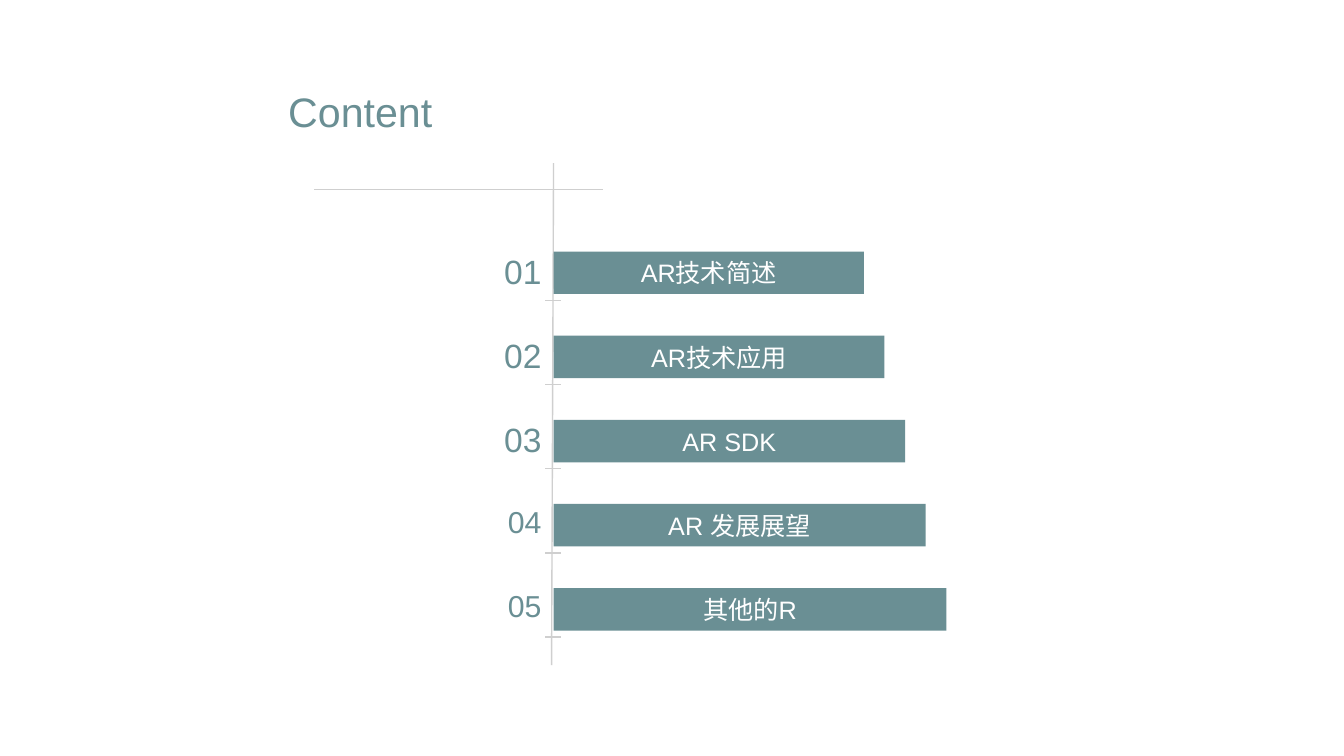
from lxml import etree
from pptx import Presentation
from pptx.dml.color import RGBColor
from pptx.enum.shapes import MSO_CONNECTOR, MSO_SHAPE
from pptx.enum.text import MSO_ANCHOR, MSO_AUTO_SIZE, PP_ALIGN
from pptx.oxml.ns import qn
from pptx.util import Cm, Pt

STRAIGHT = MSO_CONNECTOR.STRAIGHT
RECTANGLE = MSO_SHAPE.RECTANGLE
TOP, MIDDLE = MSO_ANCHOR.TOP, MSO_ANCHOR.MIDDLE
LEFT, CENTER, RIGHT = PP_ALIGN.LEFT, PP_ALIGN.CENTER, PP_ALIGN.RIGHT
NO_FIT = MSO_AUTO_SIZE.NONE
TITLE_ONLY = 5

TOPICS = [
    ("AR技术简述", 24),
    ("AR技术应用", 24),
    ("AR SDK", 24),
    ("AR 发展展望", 21.6),
    ("其他的R", 21.6),
]
ROW_PITCH = 2.12
BAR_GROWTH = 0.52


def color(value):
    return RGBColor.from_string(value)


class AgendaSlide:
    font = "Arial"
    teal = "6A8F94"
    gray = "CFCFCF"
    white = "FFFFFF"

    def __init__(self, deck):
        self.page = deck.slides.add_slide(deck.slide_layouts[TITLE_ONLY])

    def set_text(self, shape, text, size, ink, align, anchor):
        frame = shape.text_frame
        frame.word_wrap = True
        frame.auto_size = NO_FIT
        frame.vertical_anchor = anchor
        frame.text = text
        paragraph = frame.paragraphs[0]
        paragraph.alignment = align
        paragraph.font.name = self.font
        paragraph.font.size = Pt(size)
        paragraph.font.color.rgb = color(ink)
        return paragraph

    def title(self, text, left, top, width, height):
        box = self.page.shapes.title
        box.left, box.top = Cm(left), Cm(top)
        box.width, box.height = Cm(width), Cm(height)
        paragraph = self.set_text(box, text, 29.4, self.teal, LEFT, MIDDLE)
        paragraph.line_spacing = 0.9

    def line(self, x1, y1, x2, y2):
        connector = self.page.shapes.add_connector(STRAIGHT, Cm(x1), Cm(y1), Cm(x2), Cm(y2))
        connector.line.color.rgb = color(self.gray)
        connector.line.width = Pt(1)
        etree.SubElement(connector._element.spPr, qn("a:effectLst"))

    def number(self, text, size, left, top, width, height):
        box = self.page.shapes.add_textbox(Cm(left), Cm(top), Cm(width), Cm(height))
        self.set_text(box, text, size, self.teal, RIGHT, TOP)

    def bar(self, text, left, top, width, height):
        box = self.page.shapes.add_shape(RECTANGLE, Cm(left), Cm(top), Cm(width), Cm(height))
        box.shadow.inherit = False
        box.fill.solid()
        box.fill.fore_color.rgb = color(self.teal)
        box.line.fill.background()
        self.set_text(box, text, 18, self.white, CENTER, MIDDLE)


def main():
    deck = Presentation()
    deck.slide_width, deck.slide_height = Cm(33.87), Cm(19.05)
    agenda = AgendaSlide(deck)
    agenda.title("Content", 7.01, 2.16, 6.48, 1.45)
    agenda.line(7.92, 4.78, 15.19, 4.78)
    agenda.line(13.95, 4.11, 13.9, 16.76)
    for index, (topic, number_size) in enumerate(TOPICS):
        offset = index * ROW_PITCH
        agenda.line(13.74, 7.57 + offset, 14.13, 7.57 + offset)
        agenda.number(f"{index + 1:02}", number_size, 12.2, 6.2 + offset, 1.7, 1.3)
        agenda.bar(topic, 13.95, 6.34 + offset, 7.82 + index * BAR_GROWTH, 1.07)
    deck.save("out.pptx")


if __name__ == "__main__":
    main()
